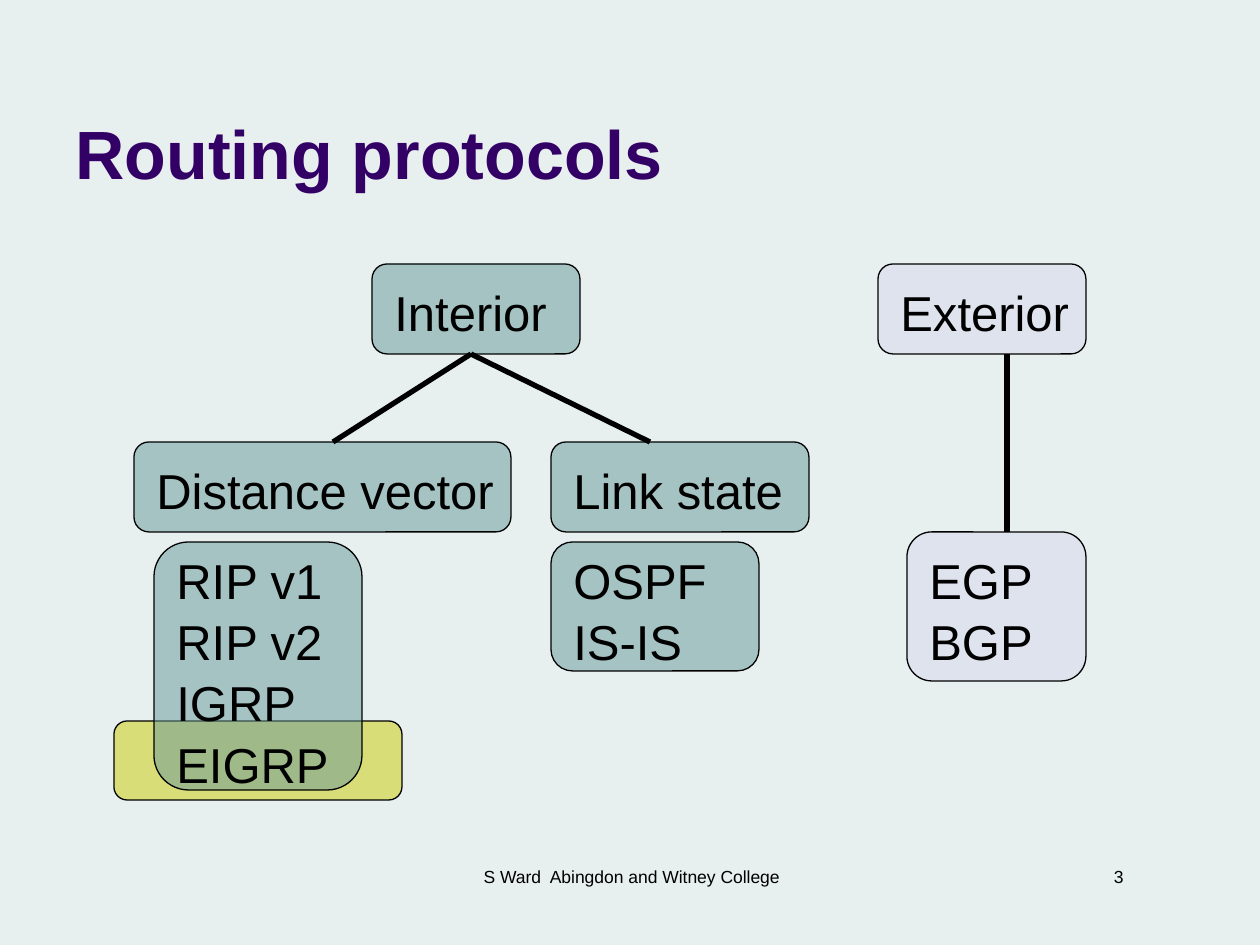
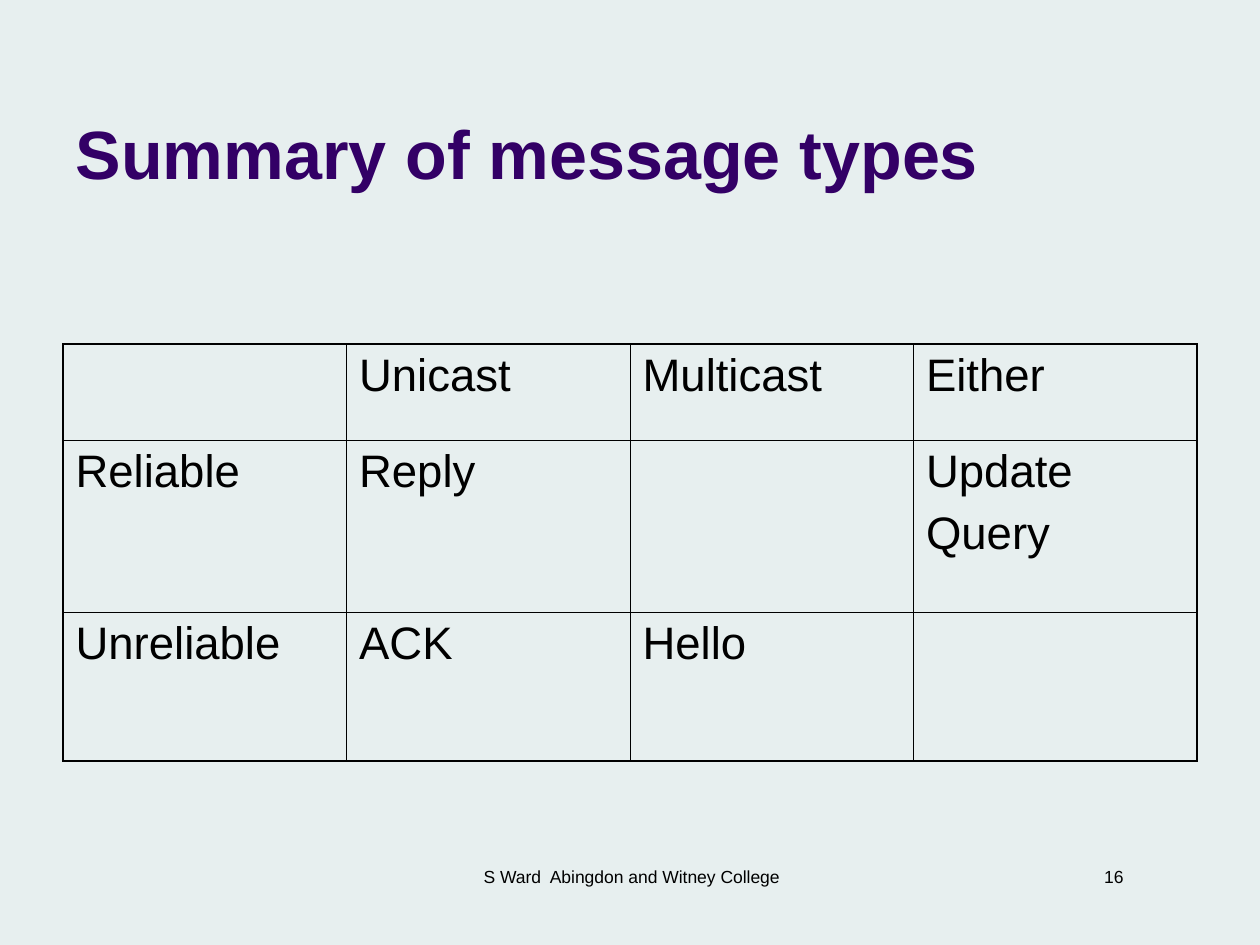
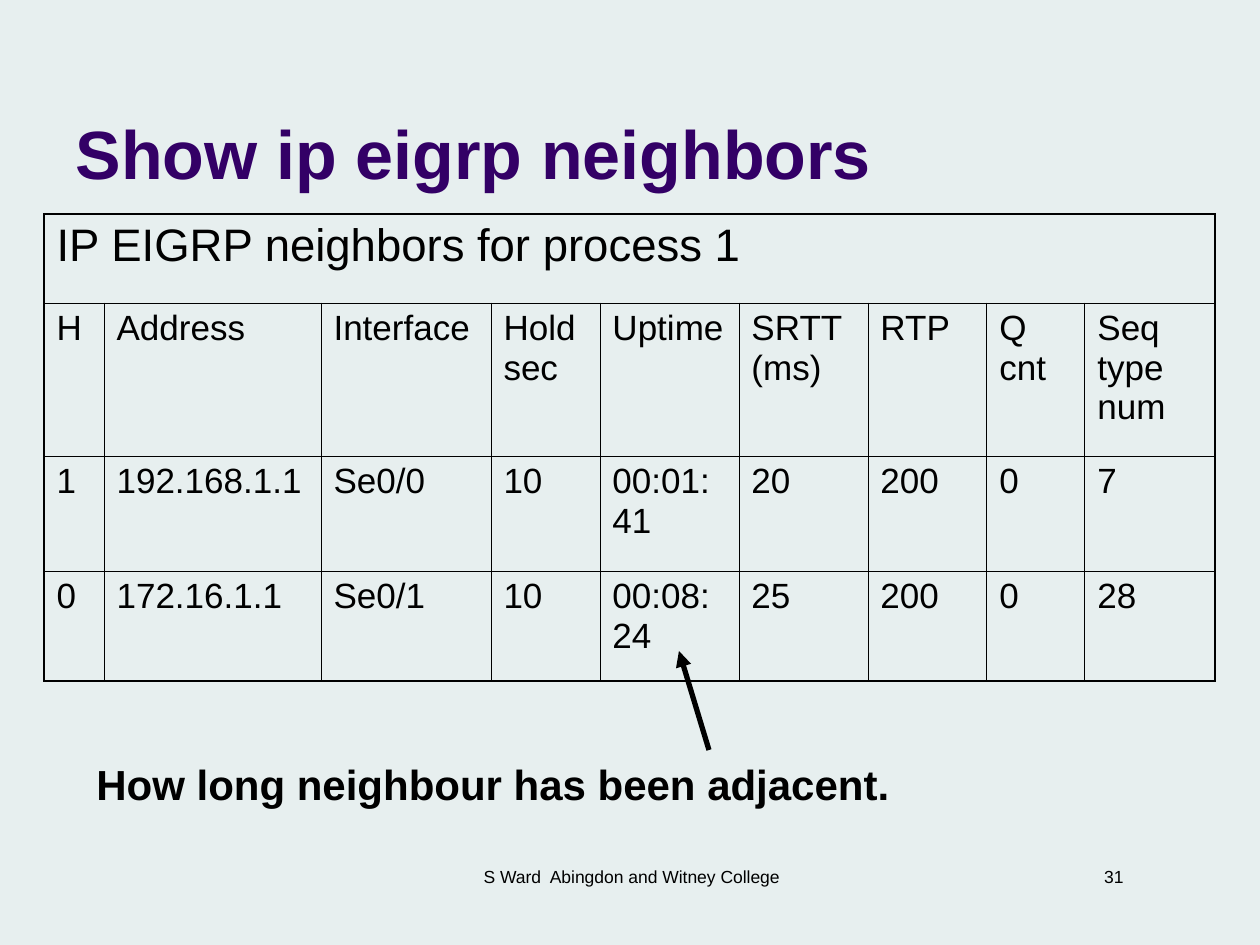
from dataclasses import dataclass

from lxml.etree import SubElement
from pptx import Presentation
from pptx.dml.color import RGBColor
from pptx.enum.shapes import MSO_CONNECTOR, MSO_SHAPE
from pptx.enum.text import MSO_ANCHOR, PP_ALIGN
from pptx.oxml.ns import qn
from pptx.util import Emu, Pt

PX = 914400 / 126


def px(n):
    return Emu(round(n * PX))


def rgb(value):
    return RGBColor.from_string(value)


@dataclass(frozen=True)
class Theme:
    font: str = "Arial"
    back: str = "E7EFEF"
    ink: str = "000000"
    title: str = "330066"
    teal: str = "669999"
    lilac: str = "D8D8EC"
    yellow: str = "CCCC00"
    title_pt: int = 39
    node_pt: int = 28
    table_pt: int = 26
    note_pt: int = 24
    grid_pt: int = 20
    footer_pt: int = 10
    outline_pt: float = 0.75
    link_pt: int = 3
    frame_pt: float = 1.08
    rule_pt: float = 0.45
    leading: float = 1.04
    footer: str = "S Ward  Abingdon and Witney College"


class Deck:
    def __init__(self, theme):
        self.t = theme
        self.prs = Presentation()
        self.prs.slide_width, self.prs.slide_height = px(1260), px(945)
        fill = self.prs.slide_master.background.fill
        fill.solid()
        fill.fore_color.rgb = rgb(theme.back)
        self.s = None

    def slide(self, title, number):
        self.s = self.prs.slides.add_slide(self.prs.slide_layouts[5])
        sp = self.s.shapes.title
        sp.left, sp.top, sp.width, sp.height = map(px, (63, 16, 1040, 179))
        tf = sp.text_frame
        tf.vertical_anchor = MSO_ANCHOR.BOTTOM
        tf.margin_bottom = px(2)
        self.add_runs(tf, title, self.t.title_pt, color=self.t.title, bold=True)
        self.text(878, 859, 258, 34, str(number), self.t.footer_pt, align=PP_ALIGN.RIGHT)
        self.text(432, 859, 399, 63, self.t.footer, self.t.footer_pt, align=PP_ALIGN.CENTER)

    def add_runs(self, tf, text, size, color=None, bold=False, align=PP_ALIGN.LEFT,
                 leading=None, gap=0):
        for i, block in enumerate(text.split("\n\n")):
            p = tf.add_paragraph() if i else tf.paragraphs[0]
            p.alignment = align
            p.space_before = Pt(gap if i else 0)
            if leading:
                p.line_spacing = leading
            for j, line in enumerate(block.split("\n")):
                if j:
                    p.add_line_break()
                r = p.add_run()
                r.text = line
                r.font.name, r.font.size, r.font.bold = self.t.font, Pt(size), bold
                r.font.color.rgb = rgb(color or self.t.ink)

    def text(self, x, y, w, h, text, size, **style):
        sp = self.s.shapes.add_textbox(px(x), px(y), px(w), px(h))
        sp.text_frame.word_wrap = True
        self.add_runs(sp.text_frame, text, size, leading=self.t.leading, **style)

    def box(self, x, y, w, h, color):
        sp = self.s.shapes.add_shape(MSO_SHAPE.ROUNDED_RECTANGLE, px(x), px(y), px(w), px(h))
        sp.shadow.inherit = False
        sp.fill.solid()
        sp.fill.fore_color.rgb = rgb(color)
        clr = sp._element.spPr.find(qn("a:solidFill"))[0]
        SubElement(clr, qn("a:alpha"), val="50000")
        sp.line.color.rgb = rgb(self.t.ink)
        sp.line.width = Pt(self.t.outline_pt)

    def node(self, x, y, w, h, color, text, drop=10):
        self.box(x, y, w, h, color)
        self.text(x + 10, y + drop, w, h - drop, text, self.t.node_pt)

    def line(self, x1, y1, x2, y2, arrow=False):
        c = self.s.shapes.add_connector(MSO_CONNECTOR.STRAIGHT, px(x1), px(y1), px(x2), px(y2))
        c.line.color.rgb = rgb(self.t.ink)
        c.line.width = Pt(self.t.link_pt)
        if arrow:
            SubElement(c._element.spPr.find(qn("a:ln")), qn("a:tailEnd"), type="triangle")
        SubElement(c._element.spPr, qn("a:effectLst"))

    def border(self, cell, weights):
        tc_pr = cell._tc.get_or_add_tcPr()
        for i, (side, weight) in enumerate(weights.items()):
            ln = SubElement(tc_pr, qn(f"a:ln{side}"), w=str(int(Pt(weight))))
            fill = SubElement(ln, qn("a:solidFill"))
            SubElement(fill, qn("a:srgbClr"), val=self.t.ink)
            tc_pr.insert(i, ln)

    def table(self, x, y, cols, rows, cells, sizes, banner=False):
        frame = self.s.shapes.add_table(len(rows), len(cols), px(x), px(y),
                                        px(sum(cols)), px(sum(rows)))
        tbl = frame.table
        tbl.first_row = tbl.horz_banding = False
        for col, w in zip(tbl.columns, cols):
            col.width = px(w)
        for row, h in zip(tbl.rows, rows):
            row.height = px(h)
        if banner:
            tbl.cell(0, 0).merge(tbl.cell(0, len(cols) - 1))
        outer, inner = self.t.frame_pt, self.t.rule_pt
        for i, values in enumerate(cells):
            for j, value in enumerate(values):
                cell = tbl.cell(i, j)
                cell.fill.background()
                cell.margin_left = cell.margin_right = Pt(7.2)
                cell.margin_top = cell.margin_bottom = Pt(3.6)
                last = j + (cell.span_width if cell.is_merge_origin else 1) == len(cols)
                self.border(cell, {
                    "L": inner if j else outer,
                    "R": outer if last else inner,
                    "T": inner if i else outer,
                    "B": outer if i == len(rows) - 1 else inner,
                })
                if value:
                    self.add_runs(cell.text_frame, value, sizes[i], gap=sizes[i] / 4)


def protocols(d):
    t = d.t
    d.slide("Routing protocols", 3)
    d.box(114, 721, 288, 79, t.yellow)
    d.node(154, 542, 208, 248, t.teal, "RIP v1\nRIP v2\nIGRP\nEIGRP", drop=0)
    d.node(551, 542, 208, 129, t.teal, "OSPF\nIS-IS", drop=0)
    d.node(907, 532, 179, 149, t.lilac, "EGP\nBGP")
    for x, y, w, color, text in (
        (372, 264, 208, t.teal, "Interior"),
        (878, 264, 208, t.lilac, "Exterior"),
        (134, 442, 377, t.teal, "Distance vector"),
        (551, 442, 258, t.teal, "Link state"),
    ):
        d.node(x, y, w, 90, color, text)
    d.line(1007, 354, 1007, 532)
    for x in (333, 650):
        d.line(471, 354, x, 442)


def messages(d):
    d.slide("Summary of message types", 16)
    d.table(63, 344, [283.5] * 4, [96, 172, 149], [
        ["", "Unicast", "Multicast", "Either"],
        ["Reliable", "Reply", "", "Update\n\nQuery"],
        ["Unreliable", "ACK", "Hello", ""],
    ], [d.t.table_pt] * 3)


def neighbors(d):
    t = d.t
    d.slide("Show ip eigrp neighbors", 31)
    d.table(44, 214, [60, 217, 170, 109, 139, 129, 119, 98, 130], [89, 153, 115, 110], [
        ["IP EIGRP neighbors for process 1"] + [""] * 8,
        ["H", "Address", "Interface", "Hold\nsec", "Uptime", "SRTT (ms)", "RTP",
         "Q cnt", "Seq type num"],
        ["1", "192.168.1.1", "Se0/0", "10", "00:01:41", "20", "200", "0", "7"],
        ["0", "172.16.1.1", "Se0/1", "10", "00:08:24", "25", "200", "0", "28"],
    ], [t.table_pt] + [t.grid_pt] * 3, banner=True)
    d.text(84, 750, 1012, 63, "How long neighbour has been adjacent.", t.note_pt, bold=True)
    d.line(709, 750, 679, 651, arrow=True)


def main():
    d = Deck(Theme())
    protocols(d)
    messages(d)
    neighbors(d)
    d.prs.save("out.pptx")


if __name__ == "__main__":
    main()
